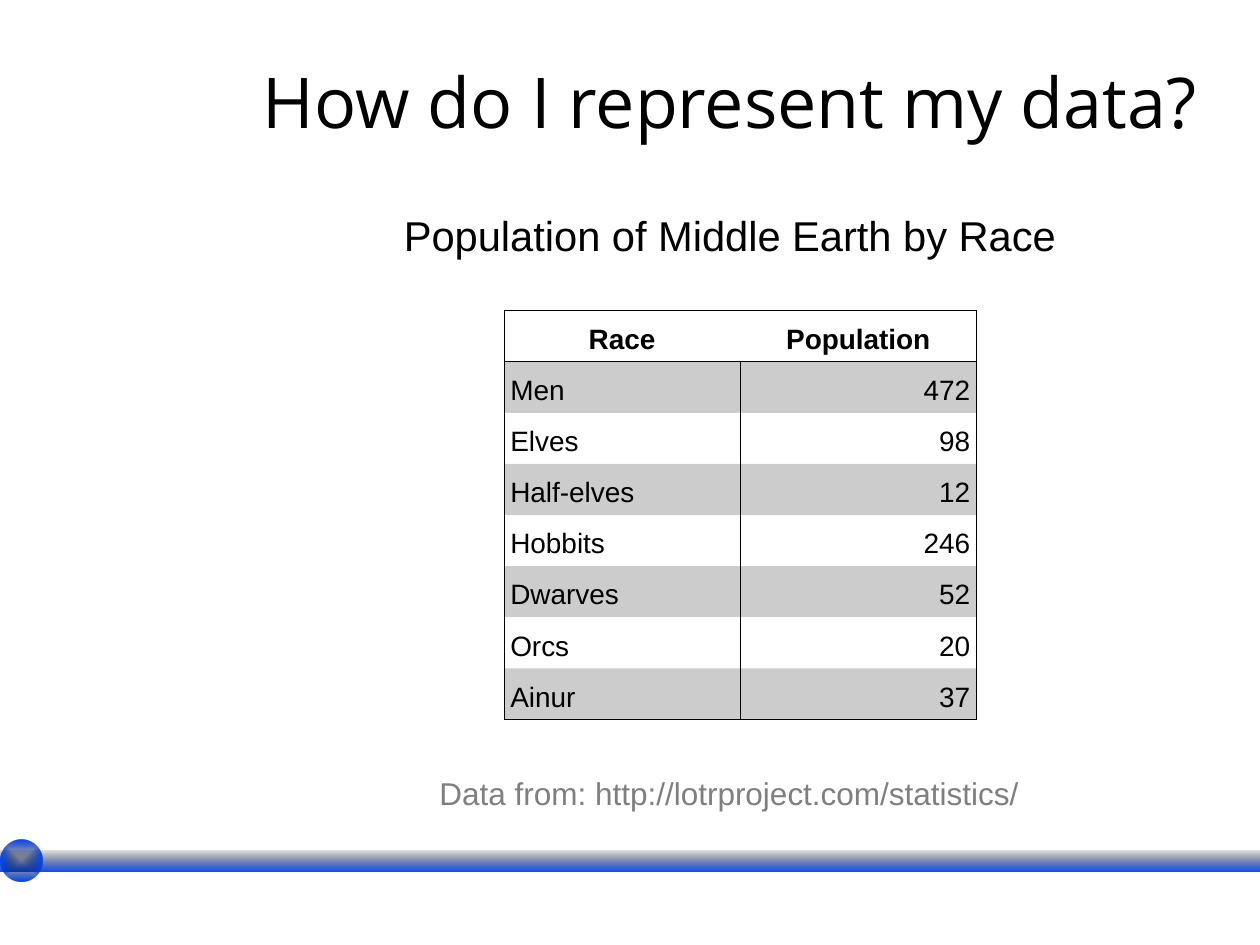
import pptx
import pptx.dml.color
import pptx.enum.shapes
import pptx.enum.text
import pptx.oxml
import pptx.oxml.ns
import pptx.util
from lxml import etree

Pt = pptx.util.Pt
Align = pptx.enum.text.PP_ALIGN
Anchor = pptx.enum.text.MSO_ANCHOR
Shape = pptx.enum.shapes.MSO_SHAPE
qn = pptx.oxml.ns.qn

COLORS = {"ink": "000000", "source": "7F7F7F", "blue": "0047FF"}
HEADERS = ("Race", "Population")
POPULATIONS = [
    ("Men", 472),
    ("Elves", 98),
    ("Half-elves", 12),
    ("Hobbits", 246),
    ("Dwarves", 52),
    ("Orcs", 20),
    ("Ainur", 37),
]
LINEAR = '<a:lin ang="5400000" scaled="0"/>'
CENTRED = '<a:path path="rect"><a:fillToRect l="50000" t="50000" r="50000" b="50000"/></a:path>'


def rgb(name):
    return pptx.dml.color.RGBColor.from_string(COLORS[name])


def style(paragraph, size, font="Arial", color="ink", align=Align.LEFT, bold=False):
    paragraph.alignment = align
    paragraph.space_before = Pt(0)
    paragraph.font.size = Pt(size)
    paragraph.font.name = font
    paragraph.font.bold = bold
    paragraph.font.color.rgb = rgb(color)


def place(shape, left, top, width, height):
    shape.left, shape.top = Pt(left), Pt(top)
    shape.width, shape.height = Pt(width), Pt(height)


def fill_placeholder(shape, bounds, text, size, font, anchor, top_inset):
    place(shape, *bounds)
    frame = shape.text_frame
    frame.text = text
    frame.word_wrap = True
    frame.auto_size = pptx.enum.text.MSO_AUTO_SIZE.NONE
    frame.vertical_anchor = anchor
    frame.margin_left = frame.margin_right = frame.margin_bottom = Pt(0)
    frame.margin_top = Pt(top_inset)
    paragraph = frame.paragraphs[0]
    properties = paragraph._p.get_or_add_pPr()
    properties.set("marL", "0")
    properties.set("indent", "0")
    etree.SubElement(properties, qn("a:buNone"))
    style(paragraph, size, font, align=Align.CENTER)


def add_gradient_shape(page, kind, bounds, direction):
    shape = page.shapes.add_shape(kind, *map(Pt, bounds))
    shape.shadow.inherit = False
    shape.line.fill.background()
    shape.fill.background()
    gradient = pptx.oxml.parse_xml(
        f'<a:gradFill {pptx.oxml.ns.nsdecls("a")} rotWithShape="1"><a:gsLst>'
        f'<a:gs pos="0"><a:srgbClr val="{COLORS["ink"]}"><a:alpha val="10000"/></a:srgbClr></a:gs>'
        f'<a:gs pos="100000"><a:srgbClr val="{COLORS["blue"]}"/></a:gs>'
        f"</a:gsLst>{direction}</a:gradFill>"
    )
    properties = shape._element.spPr
    properties.replace(properties.find(qn("a:noFill")), gradient)


def set_borders(cell, visible):
    properties = cell._tc.get_or_add_tcPr()
    for side in "LRTB":
        line = etree.SubElement(properties, qn(f"a:ln{side}"), w=str(Pt(0.45)))
        if side in visible:
            solid = etree.SubElement(line, qn("a:solidFill"))
            etree.SubElement(solid, qn("a:srgbClr"), val=COLORS["ink"])
        else:
            etree.SubElement(line, qn("a:noFill"))


def shade(cell):
    cell.fill.solid()
    cell.fill.fore_color.rgb = rgb("ink")
    color = cell._tc.tcPr.find(qn("a:solidFill")).find(qn("a:srgbClr"))
    etree.SubElement(color, qn("a:alpha"), val="20000")


def fill_cell(cell, text, align, side_inset, borders, shaded, bold):
    cell.text = str(text)
    cell.vertical_anchor = Anchor.BOTTOM
    cell.margin_left = cell.margin_right = Pt(side_inset)
    cell.margin_top = cell.margin_bottom = Pt(3.6)
    style(cell.text_frame.paragraphs[0], 16, align=align, bold=bold)
    set_borders(cell, borders)
    if shaded:
        shade(cell)
    else:
        cell.fill.background()


def add_population_table(page):
    rows = [HEADERS] + POPULATIONS
    frame = page.shapes.add_table(len(rows), 2, *map(Pt, (288, 177.5, 270, 233.6)))
    table = frame.table
    table.first_row = table.horz_banding = False
    for row_index, row in enumerate(rows):
        table.rows[row_index].height = Pt(29.2)
        header = row_index == 0
        last = row_index == len(rows) - 1
        for column_index, text in enumerate(row):
            if header:
                align = Align.CENTER
                borders = "TB" + "LR"[column_index]
            else:
                align = (Align.LEFT, Align.RIGHT)[column_index]
                borders = "LR" + ("T" if row_index == 1 else "") + ("B" if last else "")
            fill_cell(
                table.cell(row_index, column_index), text, align,
                0.7 if header else 3.6, borders, row_index % 2 == 1, header,
            )


def add_source(page):
    box = page.shapes.add_textbox(*map(Pt, (244, 439, 345.6, 29)))
    frame = box.text_frame
    frame.word_wrap = False
    frame.auto_size = pptx.enum.text.MSO_AUTO_SIZE.SHAPE_TO_FIT_TEXT
    frame.text = "Data from: http://lotrproject.com/statistics/"
    style(frame.paragraphs[0], 18, color="source")


def main():
    deck = pptx.Presentation()
    deck.slide_width, deck.slide_height = Pt(720), Pt(540)
    page = deck.slides.add_slide(deck.slide_layouts[1])
    title, body = page.placeholders
    fill_placeholder(title, (126, 12, 582, 91), "How do I represent my data?",
                     40, "Open Sans", Anchor.MIDDLE, 0)
    fill_placeholder(body, (126, 114, 582, 36), "Population of Middle Earth by Race",
                     23.8, "Arial", Anchor.TOP, 6)
    add_gradient_shape(page, Shape.RECTANGLE, (0, 486, 720, 12), LINEAR)
    add_gradient_shape(page, Shape.OVAL, (0, 480, 24, 24), CENTRED)
    add_population_table(page)
    add_source(page)
    deck.save("out.pptx")


if __name__ == "__main__":
    main()
